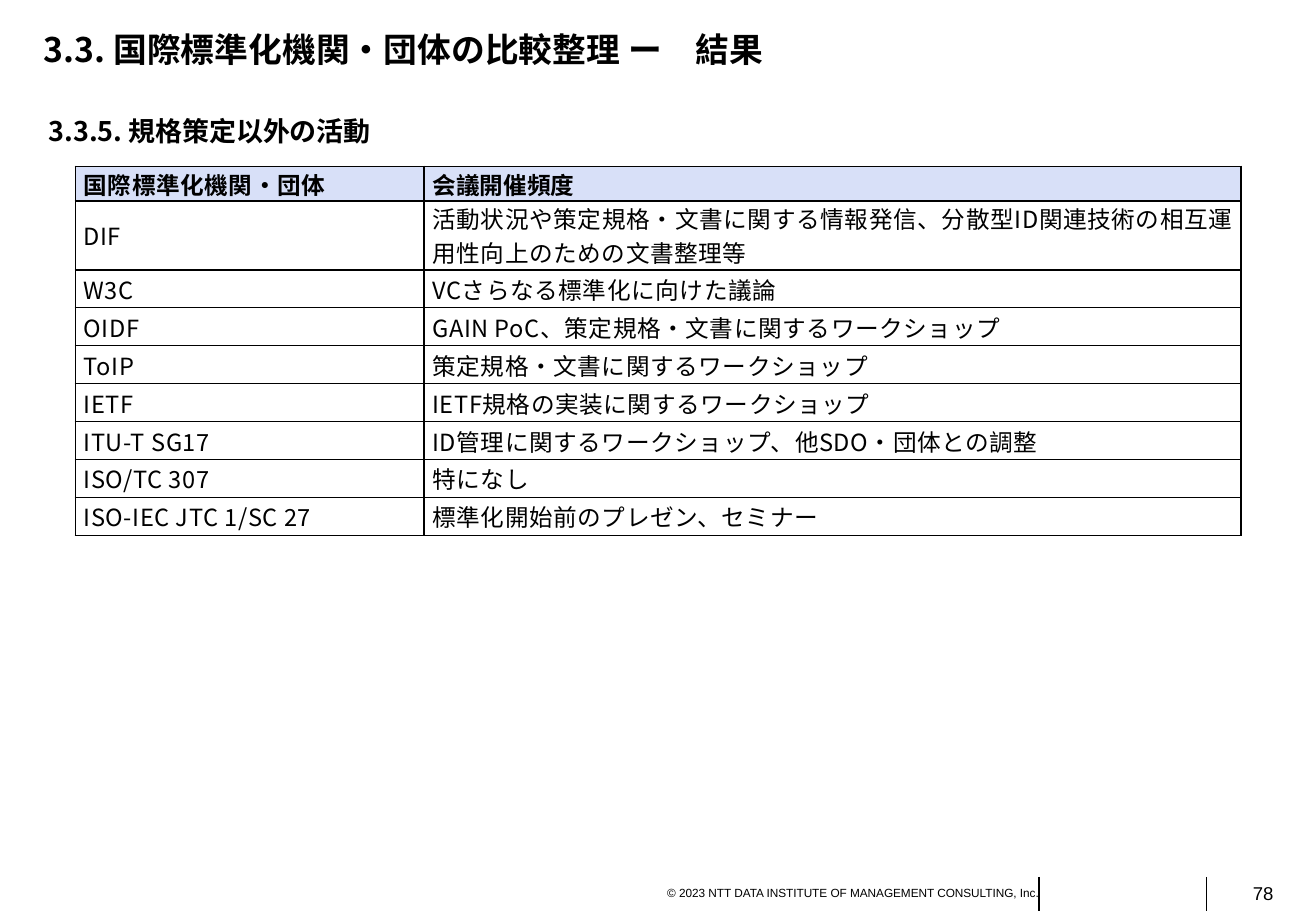
from dataclasses import dataclass

from lxml.etree import SubElement
from pptx import Presentation
from pptx.dml.color import RGBColor
from pptx.enum.shapes import MSO_CONNECTOR
from pptx.enum.text import MSO_ANCHOR, MSO_AUTO_SIZE, PP_ALIGN
from pptx.oxml.ns import qn
from pptx.util import Inches, Pt

WIDE, HIGH = Inches(10.83), Inches(7.5)
SANS, ARIAL = "Noto Sans CJK JP", "Arial"
COLORS = {"ink": "000000", "head": "D8E0F8"}

HEAD = ("国際標準化機関・団体", "会議開催頻度")
BODY = [
    ("DIF", "活動状況や策定規格・文書に関する情報発信、分散型ID関連技術の相互運用性向上のための文書整理等"),
    ("W3C", "VCさらなる標準化に向けた議論"),
    ("OIDF", "GAIN PoC、策定規格・文書に関するワークショップ"),
    ("ToIP", "策定規格・文書に関するワークショップ"),
    ("IETF", "IETF規格の実装に関するワークショップ"),
    ("ITU-T SG17", "ID管理に関するワークショップ、他SDO・団体との調整"),
    ("ISO/TC 307", "特になし"),
    ("ISO-IEC JTC 1/SC 27", "標準化開始前のプレゼン、セミナー"),
]
COLS = (26.5, 62.1)
ROWS = [3.33, 6.8] + [4.17] * (len(BODY) - 1)


@dataclass
class Box:
    left: float
    top: float
    width: float
    height: float

    def place(self) -> tuple:
        return across(self.left), down(self.top), across(self.width), down(self.height)


@dataclass
class Style:
    size: float
    font: str = SANS
    bold: bool = False
    align: PP_ALIGN = PP_ALIGN.LEFT
    track: int = 0


@dataclass
class Label:
    text: str
    box: Box
    style: Style
    side: float = 0
    anchor: MSO_ANCHOR = MSO_ANCHOR.TOP
    wrap: bool = True


LABELS = [
    Label("3.3.5. 規格策定以外の活動", Box(3.32, 11.73, 82.08, 5.2),
          Style(16, bold=True), 0.04, MSO_ANCHOR.MIDDLE),
    Label("© 2023 NTT DATA INSTITUTE OF MANAGEMENT CONSULTING, Inc.",
          Box(50.05, 96.53, 28.9, 2.93), Style(7, ARIAL, align=PP_ALIGN.RIGHT), wrap=False),
    Label("78", Box(92.34, 96.13, 4.43, 3.87), Style(11, ARIAL, align=PP_ALIGN.RIGHT)),
]
RULES = (78.95, 91.69)


def across(share: float) -> int:
    return round(WIDE * share / 100)


def down(share: float) -> int:
    return round(HIGH * share / 100)


def color(name: str) -> RGBColor:
    return RGBColor.from_string(COLORS[name])


def write(frame, text: str, style: Style) -> None:
    frame.text = text
    para = frame.paragraphs[0]
    para.alignment = style.align
    for run in para.runs:
        font = run.font
        font.name, font.size, font.bold = style.font, Pt(style.size), style.bold
        font.color.rgb = color("ink")
        props = run._r.get_or_add_rPr()
        props.set("spc", str(style.track))
        SubElement(props, qn("a:ea"), typeface=style.font)


def inset(frame, side: float) -> None:
    frame.margin_left = frame.margin_right = Inches(side)
    frame.margin_top = frame.margin_bottom = Inches(0.05)


def draw_title(slide) -> None:
    title = slide.shapes.title
    title.left, title.top, title.width, title.height = Box(3.32, 2.4, 93.35, 6).place()
    frame = title.text_frame
    inset(frame, 0)
    frame.auto_size = MSO_AUTO_SIZE.NONE
    frame.vertical_anchor = MSO_ANCHOR.MIDDLE
    write(frame, "3.3. 国際標準化機関・団体の比較整理 ー　結果", Style(20, bold=True))
    props = frame.paragraphs[0]._p.get_or_add_pPr()
    props.set("marL", str(Inches(0.29)))
    props.set("indent", str(Inches(-0.29)))


def draw_label(slide, label: Label) -> None:
    frame = slide.shapes.add_textbox(*label.box.place()).text_frame
    inset(frame, label.side)
    frame.word_wrap = label.wrap
    frame.vertical_anchor = label.anchor
    write(frame, label.text, label.style)


def draw_rule(slide, left: float) -> None:
    rule = slide.shapes.add_connector(
        MSO_CONNECTOR.STRAIGHT, across(left), down(96.27), across(left), HIGH)
    rule.line.color.rgb = color("ink")
    rule.line.width = Pt(0.75)
    SubElement(rule._element.spPr, qn("a:effectLst"))


def edge(cell) -> None:
    props = cell._tc.get_or_add_tcPr()
    for side in ("lnL", "lnR", "lnT", "lnB"):
        line = SubElement(props, qn(f"a:{side}"), w=str(Pt(1)))
        fill = SubElement(line, qn("a:solidFill"))
        SubElement(fill, qn("a:srgbClr"), val=COLORS["ink"])


def draw_cell(cell, text: str, style: Style, head: bool) -> None:
    cell.margin_left = cell.margin_right = Inches(0.07)
    cell.margin_top = cell.margin_bottom = 0
    cell.vertical_anchor = MSO_ANCHOR.MIDDLE
    edge(cell)
    if head:
        cell.fill.solid()
        cell.fill.fore_color.rgb = color("head")
    else:
        cell.fill.background()
    write(cell.text_frame, text, style)


def draw_table(slide) -> None:
    box = Box(5.72, 18.27, sum(COLS), sum(ROWS))
    table = slide.shapes.add_table(len(ROWS), len(COLS), *box.place()).table
    table.first_row = table.horz_banding = False
    for col, share in zip(table.columns, COLS):
        col.width = across(share)
    for row, share in zip(table.rows, ROWS):
        row.height = down(share)
    for r, texts in enumerate([HEAD, *BODY]):
        for c, text in enumerate(texts):
            head = r == 0
            track = 0 if head and c else 30
            style = Style(14, bold=head, align=PP_ALIGN.JUSTIFY, track=track)
            draw_cell(table.cell(r, c), text, style, head)


def main() -> None:
    deck = Presentation()
    deck.slide_width, deck.slide_height = WIDE, HIGH
    slide = deck.slides.add_slide(deck.slide_layouts[5])
    draw_title(slide)
    draw_table(slide)
    for label in LABELS:
        draw_label(slide, label)
    for left in RULES:
        draw_rule(slide, left)
    deck.save("out.pptx")


if __name__ == "__main__":
    main()
